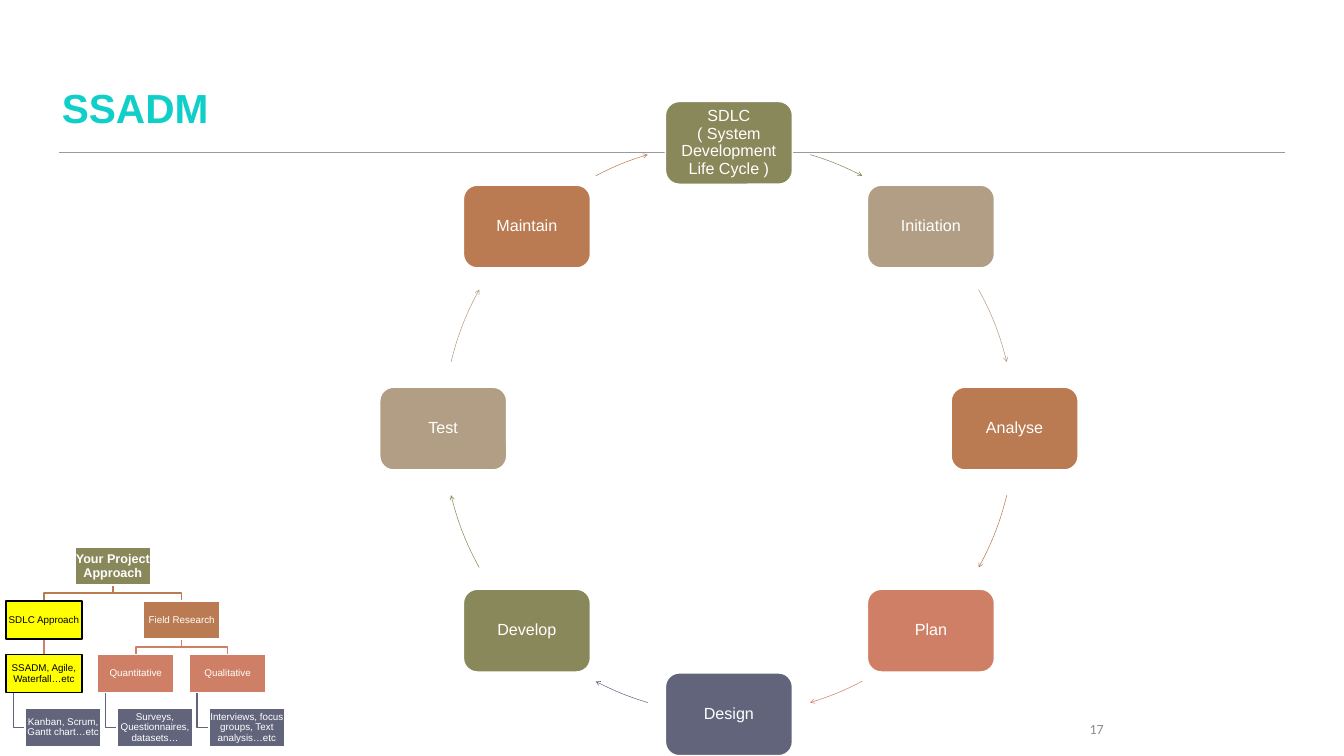
from dataclasses import dataclass

from lxml import etree
from pptx import Presentation
from pptx import util as u
from pptx.dml.color import RGBColor
from pptx.enum import shapes, text
from pptx.oxml.ns import qn


@dataclass(frozen=True)
class Theme:
    olive: str = "88885A"
    sand: str = "B29E85"
    copper: str = "BB7B52"
    coral: str = "CF7F66"
    slate: str = "62647B"
    yellow: str = "FFFF00"
    white: str = "FFFFFF"
    black: str = "000000"
    title: str = "10CFC9"
    rule: str = "9A9A9A"
    number: str = "8C8C8C"
    font: str = "Arial"
    number_font: str = "Calibri"
    title_size: int = 58
    stage_size: int = 23
    number_size: int = 20
    root_size: int = 18
    node_size: int = 14


THEME = Theme()

# Life cycle ring, in cm and degrees clockwise from the top
CENTRE_X, CENTRE_Y, RADIUS = 36.74, 21.6, 14.4
STAGE_WIDTH, STAGE_HEIGHT = 6.4, 4.17
STAGES = [
    ("SDLC ( System Development Life Cycle )", THEME.olive),
    ("Initiation", THEME.sand),
    ("Analyse", THEME.copper),
    ("Plan", THEME.coral),
    ("Design", THEME.slate),
    ("Develop", THEME.olive),
    ("Test", THEME.sand),
    ("Maintain", THEME.copper),
]
HALF_RING_ARCS = [(16.5, 27.8), (60.9, 76.5), (103.5, 119.1), (152.2, 163.5)]

# Approach tree, in cm
TREE_LEFT, TREE_TOP = 0.3, 27.58
COLUMN_STEP, LEVEL_STEP = 4.63, 2.71
NODE_WIDTH, NODE_HEIGHT = 3.83, 1.91
LEAF_INDENT, LEAF_STEM = 0.97, 0.38
# name: (label, column, level, parent, fill)
NODES = {
    "root": ("Your Project Approach", 0.75, 0, None, THEME.olive),
    "sdlc": ("SDLC Approach", 0, 1, "root", THEME.yellow),
    "methods": ("SSADM, Agile, Waterfall…etc", 0, 2, "sdlc", THEME.yellow),
    "tools": ("Kanban, Scrum, Gantt chart…etc", 0, 3, "methods", THEME.slate),
    "field": ("Field Research", 1.5, 1, "root", THEME.copper),
    "quantitative": ("Quantitative", 1, 2, "field", THEME.coral),
    "surveys": ("Surveys, Questionnaires, datasets…", 1, 3, "quantitative", THEME.slate),
    "qualitative": ("Qualitative", 2, 2, "field", THEME.coral),
    "interviews": ("Interviews, focus groups, Text analysis…etc", 2, 3,
                   "qualitative", THEME.slate),
}
LEVEL_LINES = [None, THEME.copper, THEME.coral, THEME.slate]
LEAF_LEVEL = 3


def set_attributes(target, values):
    for name, value in values.items():
        setattr(target, name, value)


def style_line(shape, color, width):
    shape.line.color.rgb = RGBColor.from_string(color)
    shape.line.width = u.Pt(width)


def write(shape, content, size, color, inset, bold=False, font=THEME.font,
          align=text.PP_ALIGN.CENTER, anchor=text.MSO_ANCHOR.MIDDLE, spacing=0.9):
    frame = shape.text_frame
    margins = {f"margin_{side}": u.Cm(inset) for side in ("left", "right", "top", "bottom")}
    set_attributes(frame, {"word_wrap": True, "vertical_anchor": anchor, **margins})
    paragraph = frame.paragraphs[0]
    set_attributes(paragraph, {"text": content, "alignment": align, "line_spacing": spacing})
    set_attributes(paragraph.font, {"size": u.Pt(size), "bold": bold, "name": font})
    paragraph.font.color.rgb = RGBColor.from_string(color)


def add_label(slide, box, content, size, color, **options):
    """Add bottom-anchored text with no box around it."""
    label = slide.shapes.add_textbox(*map(u.Cm, box))
    write(label, content, size, color, 0.15,
          anchor=text.MSO_ANCHOR.BOTTOM, spacing=1.0, **options)


def add_box(slide, kind, box, fill, outline):
    shape = slide.shapes.add_shape(kind, *map(u.Cm, box))
    shape.shadow.inherit = False
    shape.fill.solid()
    shape.fill.fore_color.rgb = RGBColor.from_string(fill)
    style_line(shape, outline, 2)
    return shape


def add_straight_line(slide, start, end, color, width):
    line = slide.shapes.add_connector(
        shapes.MSO_CONNECTOR.STRAIGHT, *map(u.Cm, (*start, *end)))
    style_line(line, color, width)
    etree.SubElement(line.element.spPr, qn("a:effectLst"))
    return line


def add_elbow(slide, points, color):
    start, *rest = [(u.Cm(x), u.Cm(y)) for x, y in points]
    builder = slide.shapes.build_freeform(*start)
    builder.add_line_segments(rest, close=False)
    elbow = builder.convert_to_shape()
    elbow.shadow.inherit = False
    elbow.fill.background()
    style_line(elbow, color, 2)


def add_arc_arrow(slide, start, end, color):
    arc = slide.shapes.add_shape(
        shapes.MSO_SHAPE.ARC, u.Cm(CENTRE_X - RADIUS), u.Cm(CENTRE_Y - RADIUS),
        u.Cm(2 * RADIUS), u.Cm(2 * RADIUS))
    # An adjustment of 0.6 is one degree, counted from three o'clock
    for index, angle in enumerate((start, end)):
        arc.adjustments[index] = (angle - 90) % 360 * 0.6
    arc.shadow.inherit = False
    arc.fill.background()
    style_line(arc, color, 0.75)
    etree.SubElement(arc.line._get_or_add_ln(), qn("a:tailEnd"), type="arrow")


def add_cycle(slide):
    diagonal = RADIUS * 0.5 ** 0.5
    offsets = [0, diagonal, RADIUS, diagonal, 0, -diagonal, -RADIUS, -diagonal]
    arcs = HALF_RING_ARCS + [(start + 180, end + 180) for start, end in HALF_RING_ARCS]
    for index, ((label, color), arc) in enumerate(zip(STAGES, arcs)):
        left = CENTRE_X + offsets[index] - STAGE_WIDTH / 2
        top = CENTRE_Y + offsets[index - 2] - STAGE_HEIGHT / 2
        stage = add_box(slide, shapes.MSO_SHAPE.ROUNDED_RECTANGLE,
                        (left, top, STAGE_WIDTH, STAGE_HEIGHT), color, THEME.white)
        write(stage, label, THEME.stage_size, THEME.white, 0.25)
        add_arc_arrow(slide, *arc, color)


def node_corner(name):
    _, column, level, _, _ = NODES[name]
    indent = LEAF_INDENT if level == LEAF_LEVEL else 0
    return TREE_LEFT + column * COLUMN_STEP + indent, TREE_TOP + level * LEVEL_STEP


def add_tree_links(slide):
    """Draw the links and return the straight ones by (parent, child)."""
    straight = {}
    for name, (_, column, level, parent, _) in NODES.items():
        if parent is None:
            continue
        color = LEVEL_LINES[level]
        left, top = node_corner(name)
        parent_left, parent_top = node_corner(parent)
        bottom = parent_top + NODE_HEIGHT
        start_x, end_x = parent_left + NODE_WIDTH / 2, left + NODE_WIDTH / 2
        if level == LEAF_LEVEL:
            stem, middle = parent_left + LEAF_STEM, top + NODE_HEIGHT / 2
            add_elbow(slide, [(stem, bottom), (stem, middle), (left, middle)], color)
        elif column == NODES[parent][1]:
            straight[parent, name] = add_straight_line(
                slide, (start_x, bottom), (end_x, top), color, 2)
        else:
            bend = (bottom + top) / 2
            add_elbow(slide, [(start_x, bottom), (start_x, bend), (end_x, bend), (end_x, top)],
                      color)
    return straight


def add_tree(slide):
    straight = add_tree_links(slide)
    boxes = {}
    for name, (label, _, level, _, fill) in NODES.items():
        ink, outline = ((THEME.black, THEME.black) if fill == THEME.yellow
                        else (THEME.white, THEME.white))
        boxes[name] = add_box(slide, shapes.MSO_SHAPE.RECTANGLE,
                              (*node_corner(name), NODE_WIDTH, NODE_HEIGHT), fill, outline)
        size = THEME.node_size if level else THEME.root_size
        write(boxes[name], label, size, ink, 0.03, bold=level == 0)
    for (parent, child), line in straight.items():
        line.begin_connect(boxes[parent], 2)
        line.end_connect(boxes[child], 0)


def main():
    presentation = Presentation()
    set_attributes(presentation, {"slide_width": u.Cm(67.74), "slide_height": u.Cm(38.1)})
    slide = presentation.slides.add_slide(presentation.slide_layouts[6])
    add_straight_line(slide, (2.97, 7.7), (64.77, 7.7), THEME.rule, 1)
    add_label(slide, (44.35, 35.3, 11.43, 2.03), "17", THEME.number_size, THEME.number,
              font=THEME.number_font, align=text.PP_ALIGN.RIGHT)
    add_cycle(slide)
    add_label(slide, (2.97, 1.3, 61.77, 5.46), "SSADM", THEME.title_size, THEME.title,
              bold=True, align=text.PP_ALIGN.LEFT)
    add_tree(slide)
    presentation.save("out.pptx")


if __name__ == "__main__":
    main()
